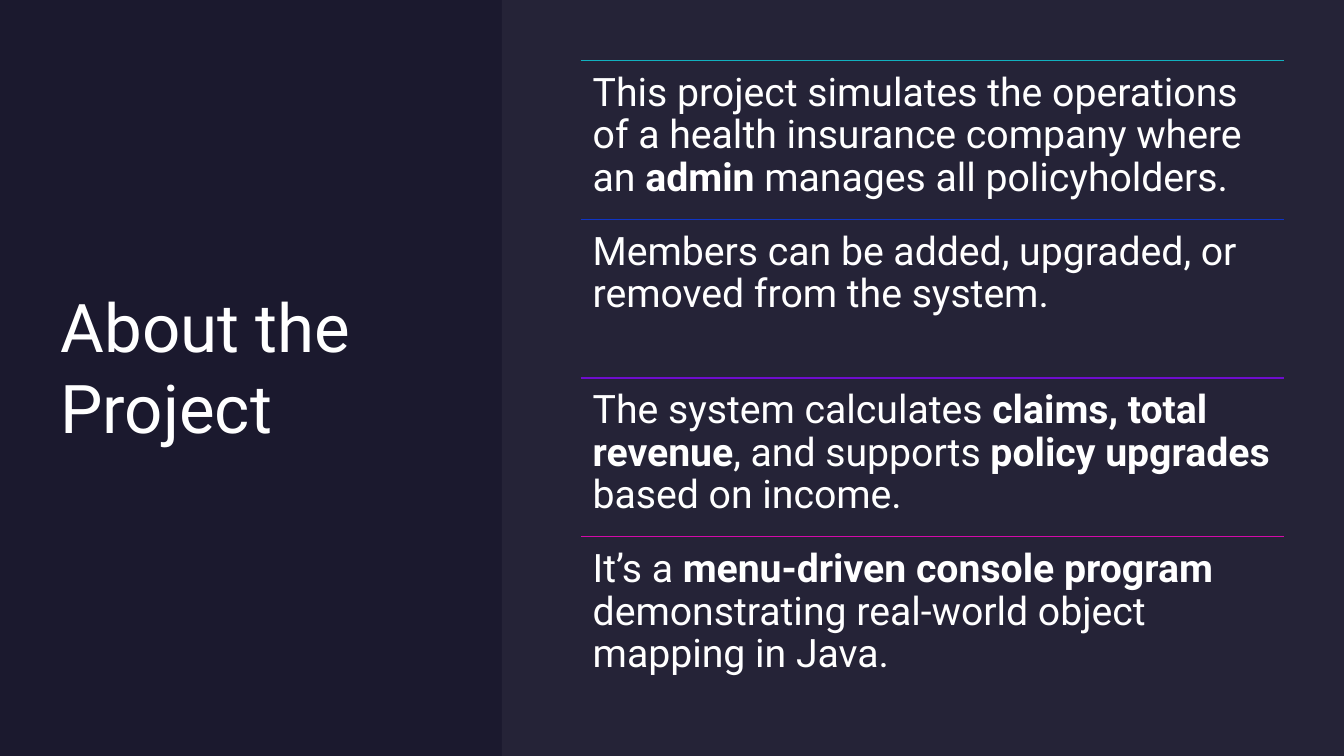
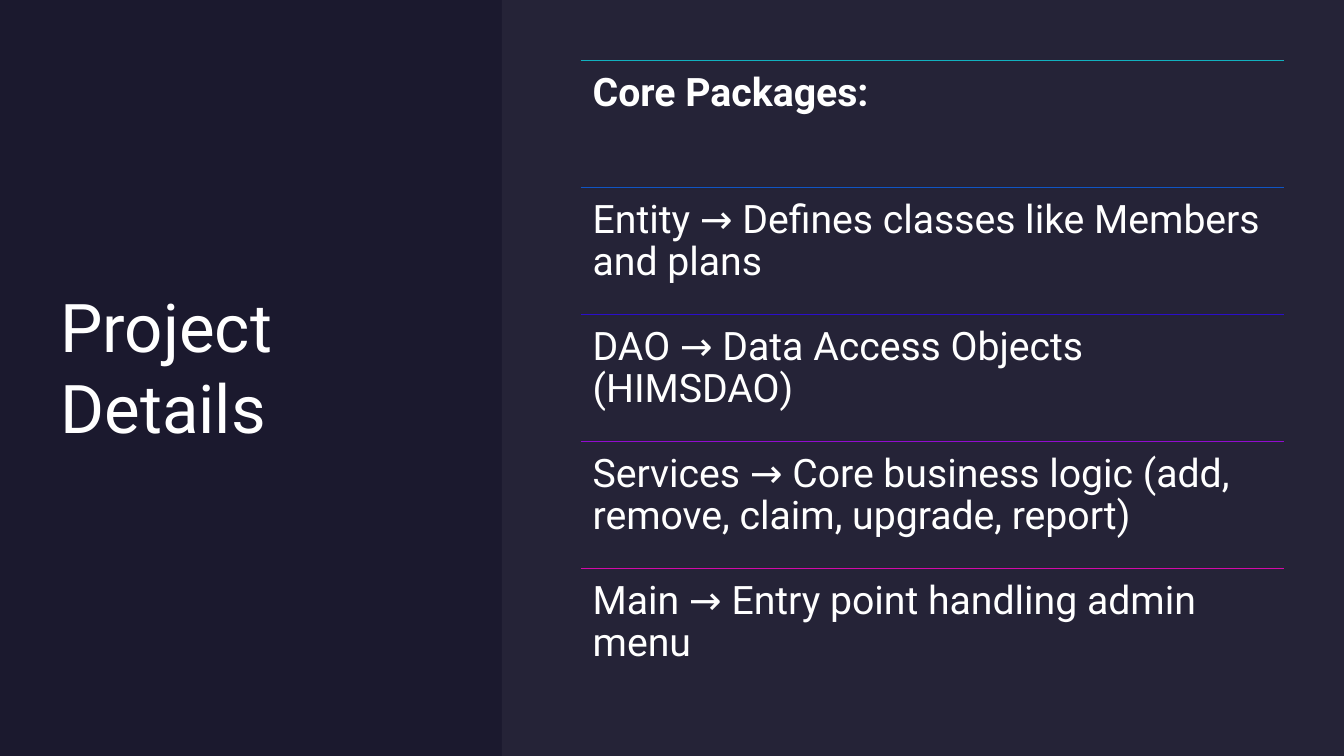
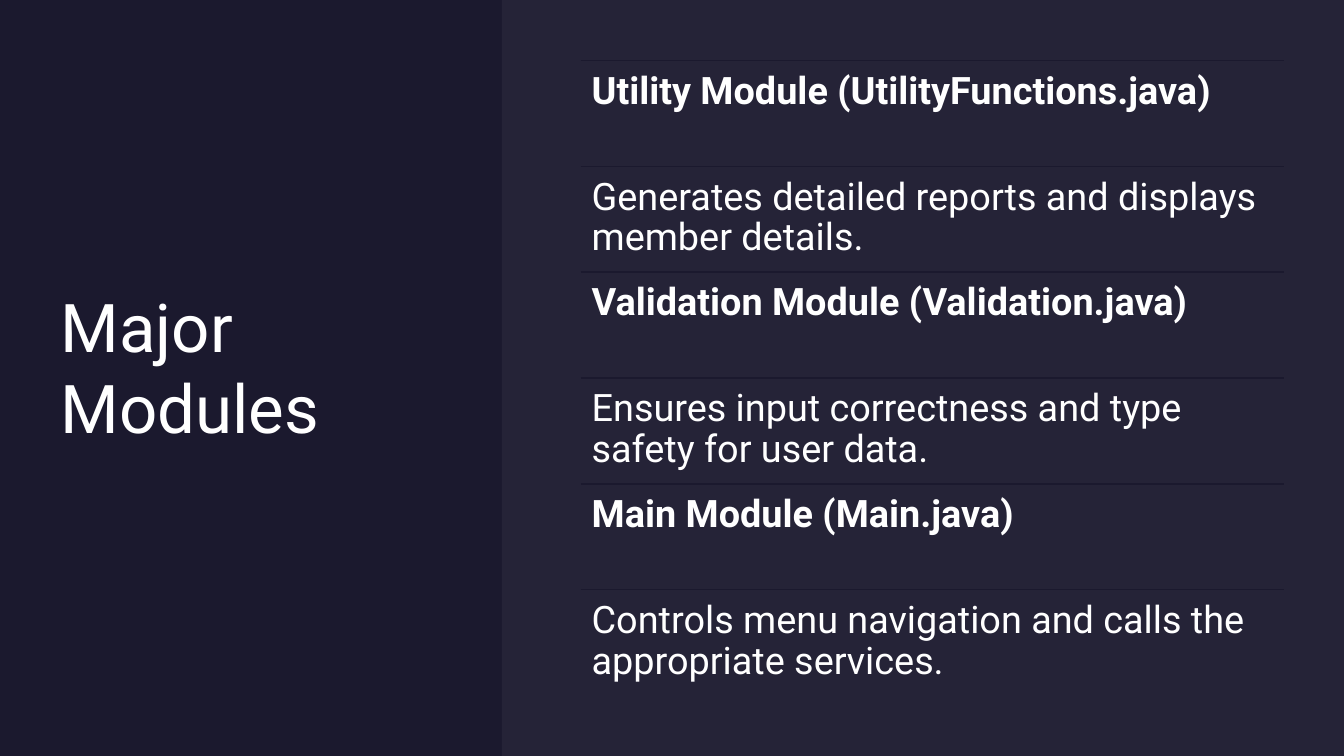
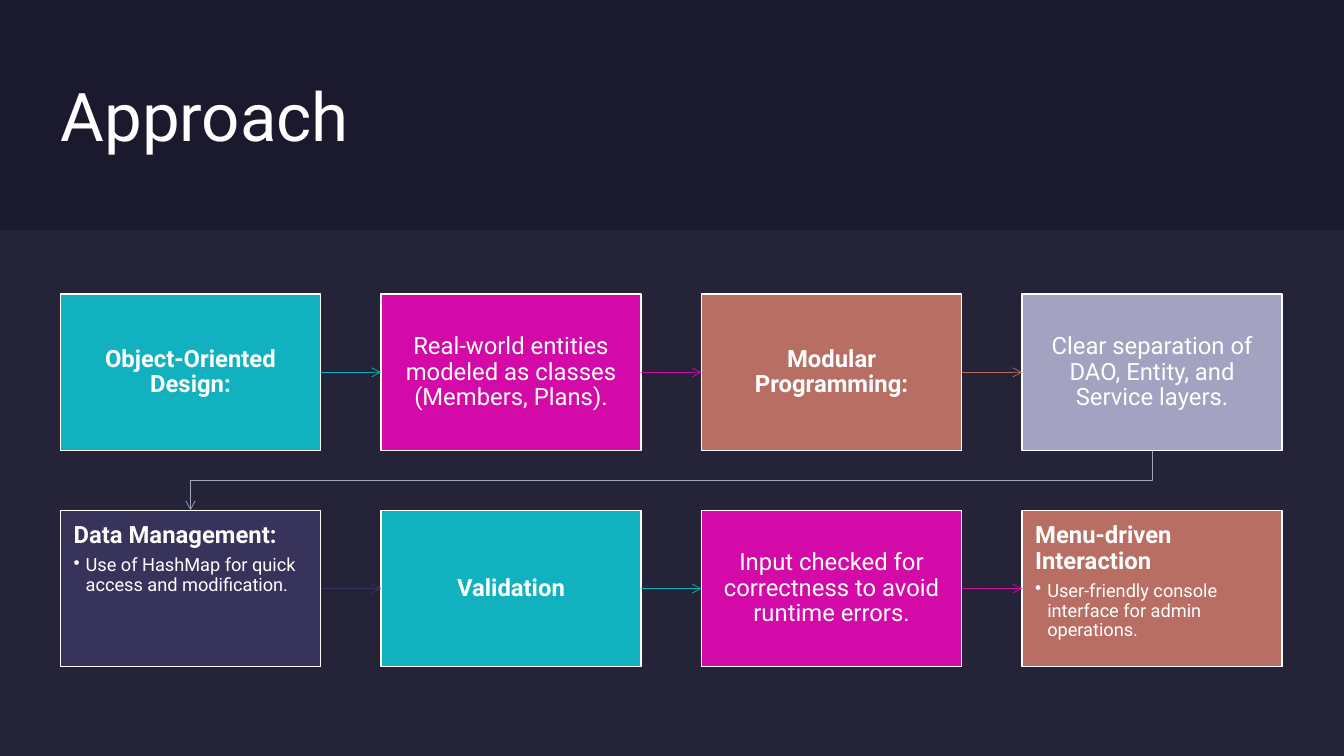
from dataclasses import dataclass
from itertools import pairwise

from lxml.etree import SubElement
from pptx import Presentation
from pptx.dml.color import RGBColor
from pptx.enum.shapes import MSO_CONNECTOR, MSO_SHAPE
from pptx.enum.text import MSO_ANCHOR, MSO_AUTO_SIZE, PP_ALIGN
from pptx.oxml.ns import qn
from pptx.util import Inches, Pt


@dataclass(frozen=True)
class Theme:
    """Colours, font and type sizes in points."""

    font: str = "Roboto"
    ground: str = "1B192E"
    veil: str = "E4E3F0"
    white: str = "FFFFFF"
    teal: str = "12B1BF"
    azure: str = "1055C4"
    blue: str = "0F35C6"
    indigo: str = "2A0EC9"
    violet: str = "6E0DCD"
    purple: str = "910CCF"
    magenta: str = "D40AA8"
    clay: str = "B86E62"
    lilac: str = "A3A3C1"
    plum: str = "37335B"
    title: int = 48
    body: int = 28
    dense: int = 27
    card: int = 17
    detail: int = 13


THEME = Theme()


def colour(value):
    """Turn a hex value into a colour."""
    return RGBColor.from_string(value)


def write(frame, text, *, size, align=PP_ALIGN.LEFT, spacing=0.9, before=0, bullet=False):
    """Add one paragraph; parts between double asterisks are bold."""
    para = frame.paragraphs[0]
    if para.runs:
        para = frame.add_paragraph()
    para.alignment = align
    para.line_spacing = spacing
    para.space_before = Pt(before)
    para.space_after = Pt(0)
    if bullet:
        properties = para._p.get_or_add_pPr()
        properties.set("marL", str(Inches(0.12)))
        properties.set("indent", str(-Inches(0.12)))
        SubElement(properties, qn("a:buChar"), char="•")
    for index, part in enumerate(text.split("**")):
        if part:
            span = para.add_run()
            span.text = part
            span.font.name = THEME.font
            span.font.size = Pt(size)
            span.font.bold = index % 2 == 1
            span.font.color.rgb = colour(THEME.white)


def prepare(frame, inset, anchor=MSO_ANCHOR.TOP):
    """Set wrapping, insets in inches and anchor of a text frame."""
    frame.word_wrap = True
    frame.auto_size = MSO_AUTO_SIZE.NONE
    frame.vertical_anchor = anchor
    frame.margin_left = frame.margin_right = Inches(inset)
    frame.margin_top = frame.margin_bottom = Inches(inset)


class Deck:
    """Draw on the current slide, on a grid of 100 columns by 100 rows."""

    margin = 4.5

    def __init__(self):
        """Open a wide deck with a dark ground."""
        self.deck = Presentation()
        self.deck.slide_width = Inches(13.33)
        self.deck.slide_height = Inches(7.5)
        ground = self.deck.slide_master.background.fill
        ground.solid()
        ground.fore_color.rgb = colour(THEME.ground)
        self.page = None

    def place(self, left, top, width, height):
        """Turn columns and rows into slide lengths."""
        column, row = self.deck.slide_width / 100, self.deck.slide_height / 100
        return [round(n) for n in (left * column, top * row, width * column, height * row)]

    def new_page(self, title, title_area, panel_area):
        """Start a slide with its title and pale panel."""
        self.page = self.deck.slides.add_slide(self.deck.slide_layouts[5])
        head = self.page.shapes.title
        head.left, head.top, head.width, head.height = self.place(*title_area)
        prepare(head.text_frame, 0, MSO_ANCHOR.MIDDLE)
        write(head.text_frame, title, size=THEME.title, spacing=1.0)
        panel = self.rectangle(panel_area, THEME.veil)
        tint = panel.fill._xPr.find(".//" + qn("a:srgbClr"))
        SubElement(tint, qn("a:alpha"), val="5000")

    def rectangle(self, area, fill, outline=None):
        """Add a flat rectangle."""
        box = self.page.shapes.add_shape(MSO_SHAPE.RECTANGLE, *self.place(*area))
        box.shadow.inherit = False
        box.fill.solid()
        box.fill.fore_color.rgb = colour(fill)
        if outline:
            box.line.color.rgb = colour(outline)
            box.line.width = Pt(1)
        else:
            box.line.fill.background()
        return box

    def line(self, start, end, shade, width, kind=MSO_CONNECTOR.STRAIGHT):
        """Add a flat line between two points."""
        link = self.page.shapes.add_connector(kind, *self.place(*start, *end))
        link.line.color.rgb = colour(shade)
        link.line.width = Pt(width)
        SubElement(link._element.spPr, qn("a:effectLst"))
        return link

    def ruled_list(self, entries, size, inset):
        """Share the right panel between entries, each under a rule."""
        left, top, width, total = 43.2, 8, 52.3, 84
        height = total / len(entries)
        for index, (shade, text) in enumerate(entries):
            level = top + index * height
            self.line((left, level), (left + width, level), shade, 1)
            box = self.page.shapes.add_textbox(*self.place(left, level, width, height))
            prepare(box.text_frame, inset)
            write(box.text_frame, text, size=size)

    def card(self, area, shade, text, detail=None):
        """Add a card, centred unless it has a bulleted detail."""
        box = self.rectangle(area, shade, THEME.white)
        prepare(box.text_frame, 0.13, MSO_ANCHOR.TOP if detail else MSO_ANCHOR.MIDDLE)
        align = PP_ALIGN.LEFT if detail else PP_ALIGN.CENTER
        write(box.text_frame, text, size=THEME.card, align=align)
        if detail:
            write(box.text_frame, detail, size=THEME.detail, before=5, bullet=True)
        return box

    def arrow(self, source, target, shade):
        """Join two cards, with an elbow when the target is a row below."""
        wraps = target.top > source.top
        kind = MSO_CONNECTOR.ELBOW if wraps else MSO_CONNECTOR.STRAIGHT
        link = self.line((0, 0), (0, 0), shade, 0.5, kind)
        link.begin_connect(source, 2 if wraps else 3)
        link.end_connect(target, 0 if wraps else 1)
        if wraps:
            self.turn(link)
        SubElement(link.line._get_or_add_ln(), qn("a:tailEnd"), type="arrow")

    def turn(self, link):
        """Turn an elbow so that it leaves downwards and runs left."""
        across = abs(link.end_x - link.begin_x)
        down = abs(link.end_y - link.begin_y)
        middle_x = (link.begin_x + link.end_x) // 2
        middle_y = (link.begin_y + link.end_y) // 2
        frame = link._element.spPr.find(qn("a:xfrm"))
        frame.attrib.pop("flipH", None)
        frame.set("rot", str(90 * 60000))
        link.left, link.top = middle_x - down // 2, middle_y - across // 2
        link.width, link.height = down, across

    def flow(self, steps, columns=4):
        """Lay cards out in rows and join each to the next."""
        cards = []
        for index, step in enumerate(steps):
            row, column = divmod(index, columns)
            area = (self.margin + column * 23.85, 38.9 + row * 28.6, 19.35, 20.7)
            cards.append(self.card(area, *step))
        for (source, target), step in zip(pairwise(cards), steps):
            self.arrow(source, target, step[0])


LISTS = [
    ("About the Project", THEME.body, 0.12, [
        (THEME.teal, "This project simulates the operations of a health insurance company "
                     "where an **admin** manages all policyholders."),
        (THEME.blue, "Members can be added, upgraded, or removed from the system."),
        (THEME.violet, "The system calculates **claims, total revenue**, and supports "
                       "**policy upgrades** based on income."),
        (THEME.magenta, "It’s a **menu-driven console program** demonstrating real-world "
                        "object mapping in Java."),
    ]),
    ("Project Details", THEME.body, 0.12, [
        (THEME.teal, "**Core Packages:**"),
        (THEME.azure, "Entity → Defines classes like Members and plans"),
        (THEME.indigo, "DAO → Data Access Objects (HIMSDAO)"),
        (THEME.purple, "Services → Core business logic (add, remove, claim, upgrade, report)"),
        (THEME.magenta, "Main → Entry point handling admin menu"),
    ]),
    ("Major Modules", THEME.dense, 0.11, [(THEME.ground, text) for text in (
        "**Utility Module (UtilityFunctions.java)**",
        "Generates detailed reports and displays member details.",
        "**Validation Module (Validation.java)**",
        "Ensures input correctness and type safety for user data.",
        "**Main Module (Main.java)**",
        "Controls menu navigation and calls the appropriate services.",
    )]),
]

STEPS = [
    (THEME.teal, "**Object-Oriented Design:**"),
    (THEME.magenta, "Real-world entities modeled as classes (Members, Plans)."),
    (THEME.clay, "**Modular Programming:**"),
    (THEME.lilac, "Clear separation of DAO, Entity, and Service layers."),
    (THEME.plum, "**Data Management:**", "Use of HashMap for quick access and modification."),
    (THEME.teal, "**Validation**"),
    (THEME.magenta, "Input checked for correctness to avoid runtime errors."),
    (THEME.clay, "**Menu-driven Interaction**",
     "User-friendly console interface for admin operations."),
]


def main():
    """Build and save the four slides."""
    deck = Deck()
    for title, size, inset, entries in LISTS:
        deck.new_page(title, (deck.margin, 8, 29.25, 80.8), (37.35, 0, 62.65, 100))
        deck.ruled_list(entries, size, inset)
    deck.new_page("Approach", (deck.margin, 8, 60, 14.4), (0, 30.4, 100, 69.6))
    deck.flow(STEPS)
    deck.deck.save("out.pptx")


if __name__ == "__main__":
    main()
